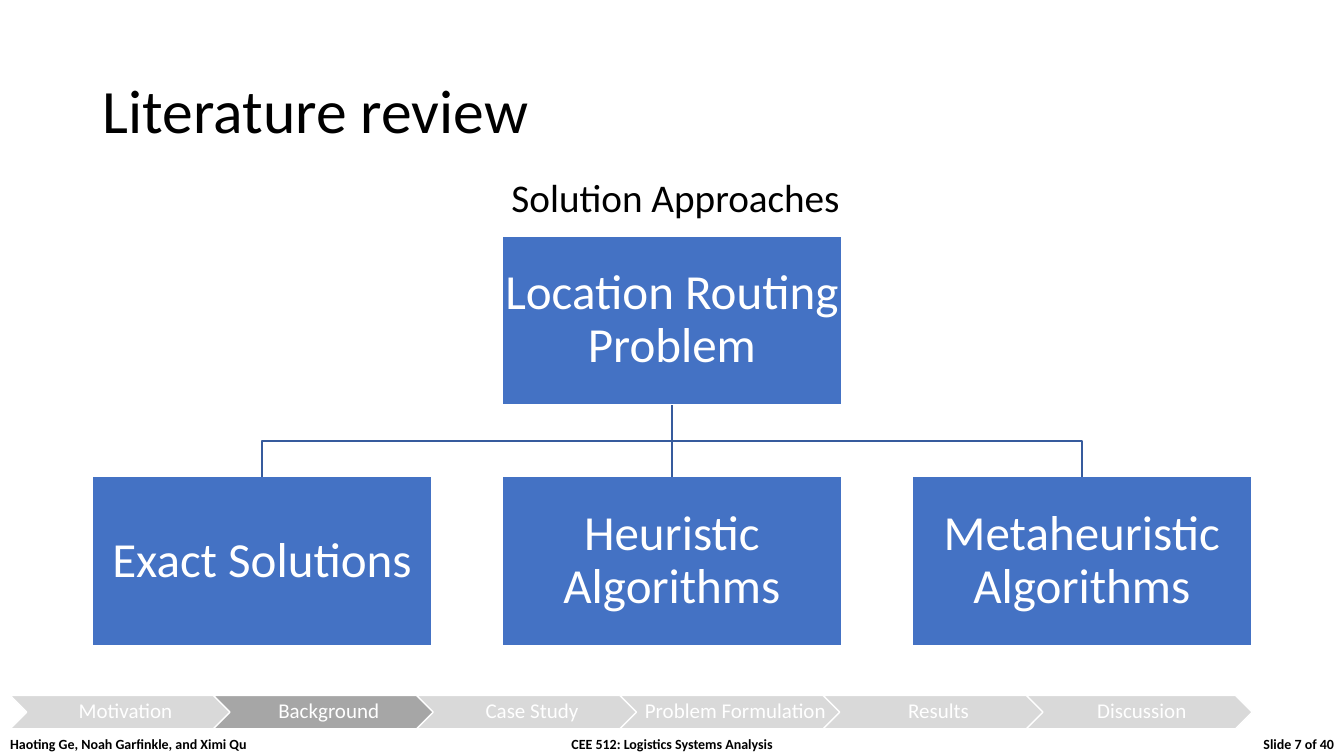
from dataclasses import dataclass

from lxml.etree import SubElement
from pptx import Presentation
from pptx.dml.color import RGBColor
from pptx.enum.shapes import MSO_CONNECTOR, MSO_SHAPE
from pptx.enum.text import MSO_ANCHOR, PP_ALIGN
from pptx.oxml.ns import qn
from pptx.util import Inches, Pt


@dataclass(frozen=True)
class Theme:
    font: str = "Calibri"
    black: RGBColor = RGBColor(0x00, 0x00, 0x00)
    white: RGBColor = RGBColor(0xFF, 0xFF, 0xFF)
    node: RGBColor = RGBColor(0x44, 0x72, 0xC4)
    link: RGBColor = RGBColor(0x36, 0x5B, 0x9D)
    step: RGBColor = RGBColor(0xD9, 0xD9, 0xD9)
    current_step: RGBColor = RGBColor(0xA6, 0xA6, 0xA6)
    title_size: int = 44
    subtitle_size: int = 28
    node_size: int = 35
    step_size: int = 15
    footer_size: int = 10
    line_width: int = 1


class SlideBuilder:
    def __init__(self, page, theme):
        self.page = page
        self.theme = theme

    def fill_text(self, frame, text, size, color, align, bold=False, line_spacing=0.9):
        para = frame.paragraphs[0]
        para.text = text
        para.alignment = align
        para.line_spacing = line_spacing
        para.font.name = self.theme.font
        para.font.size = Pt(size)
        para.font.bold = bold
        para.font.color.rgb = color

    def heading(self, text, left, top, width, height, size, align, anchor):
        box = self.page.shapes.add_textbox(
            Inches(left), Inches(top), Inches(width), Inches(height))
        box.text_frame.word_wrap = True
        box.text_frame.vertical_anchor = anchor
        self.fill_text(box.text_frame, text, size, self.theme.black, align)

    def block(self, kind, text, left, top, width, height, fill, size, inset=0.02):
        shape = self.page.shapes.add_shape(
            kind, Inches(left), Inches(top), Inches(width), Inches(height))
        shape.shadow.inherit = False
        shape.fill.solid()
        shape.fill.fore_color.rgb = fill
        shape.line.color.rgb = self.theme.white
        shape.line.width = Pt(self.theme.line_width)
        frame = shape.text_frame
        frame.word_wrap = True
        frame.vertical_anchor = MSO_ANCHOR.MIDDLE
        frame.margin_left = Inches(inset)
        frame.margin_right = frame.margin_top = frame.margin_bottom = Inches(0.02)
        self.fill_text(frame, text, size, self.theme.white, PP_ALIGN.CENTER)
        return shape

    def style_link(self, link):
        link.line.color.rgb = self.theme.link
        link.line.width = Pt(self.theme.line_width)

    def straight_link(self, parent, child):
        link = self.page.shapes.add_connector(MSO_CONNECTOR.STRAIGHT, 0, 0, 0, 0)
        link.begin_connect(parent, 2)
        link.end_connect(child, 0)
        SubElement(link._element.spPr, qn("a:effectLst"))
        self.style_link(link)

    def elbow_link(self, parent, child):
        start_x = parent.left + parent.width // 2
        start_y = parent.top + parent.height
        end_x = child.left + child.width // 2
        middle_y = (start_y + child.top) // 2
        builder = self.page.shapes.build_freeform(start_x, start_y)
        builder.add_line_segments(
            [(start_x, middle_y), (end_x, middle_y), (end_x, child.top)], close=False)
        link = builder.convert_to_shape()
        link.shadow.inherit = False
        link.fill.background()
        self.style_link(link)

    def footer(self, entries, left, top, width, height):
        table = self.page.shapes.add_table(
            1, len(entries), Inches(left), Inches(top), Inches(width), Inches(height)).table
        table.first_row = table.horz_banding = False
        for cell, (text, align) in zip(table.rows[0].cells, entries):
            cell.fill.background()
            self.fill_text(cell.text_frame, text, self.theme.footer_size,
                           self.theme.black, align, bold=True, line_spacing=1)


def main():
    deck = Presentation()
    deck.slide_width = Inches(13.33)
    deck.slide_height = Inches(7.5)
    theme = Theme()
    slide = SlideBuilder(deck.slides.add_slide(deck.slide_layouts[6]), theme)

    slide.heading("Literature review", 0.92, 0.4, 11.5, 1.45,
                  theme.title_size, PP_ALIGN.LEFT, MSO_ANCHOR.MIDDLE)
    slide.heading("Solution Approaches", 0.75, 1.72, 11.9, 0.62,
                  theme.subtitle_size, PP_ALIGN.CENTER, MSO_ANCHOR.TOP)

    node_left, node_width, node_height = 0.92, 3.36, 1.68
    node_pitch = 1.21 * node_width

    def add_node(text, column, top):
        return slide.block(MSO_SHAPE.RECTANGLE, text, node_left + column * node_pitch, top,
                           node_width, node_height, theme.node, theme.node_size)

    problem = add_node("Location Routing Problem", 1, 2.34)
    exact, heuristic, metaheuristic = [
        add_node(text, column, 4.73) for column, text in enumerate(
            ["Exact Solutions", "Heuristic Algorithms", "Metaheuristic Algorithms"])]
    slide.elbow_link(problem, exact)
    slide.straight_link(problem, heuristic)
    slide.elbow_link(problem, metaheuristic)

    current = "Background"
    steps = ["Motivation", current, "Case Study", "Problem Formulation",
             "Results", "Discussion"]
    step_width = 2.24
    step_pitch = 0.9 * step_width
    for index, step in enumerate(steps):
        fill = theme.current_step if step == current else theme.step
        slide.block(MSO_SHAPE.CHEVRON, step, 0.1 + index * step_pitch, 6.9,
                    step_width, 0.33, fill, theme.step_size, inset=0.07)

    slide.footer([("Haoting Ge, Noah Garfinkle, and Ximi Qu", PP_ALIGN.LEFT),
                  ("CEE 512: Logistics Systems Analysis", PP_ALIGN.CENTER),
                  ("Slide 7 of 40", PP_ALIGN.RIGHT)], 0, 7.25, 13.33, 0.25)

    deck.save("out.pptx")


if __name__ == "__main__":
    main()
